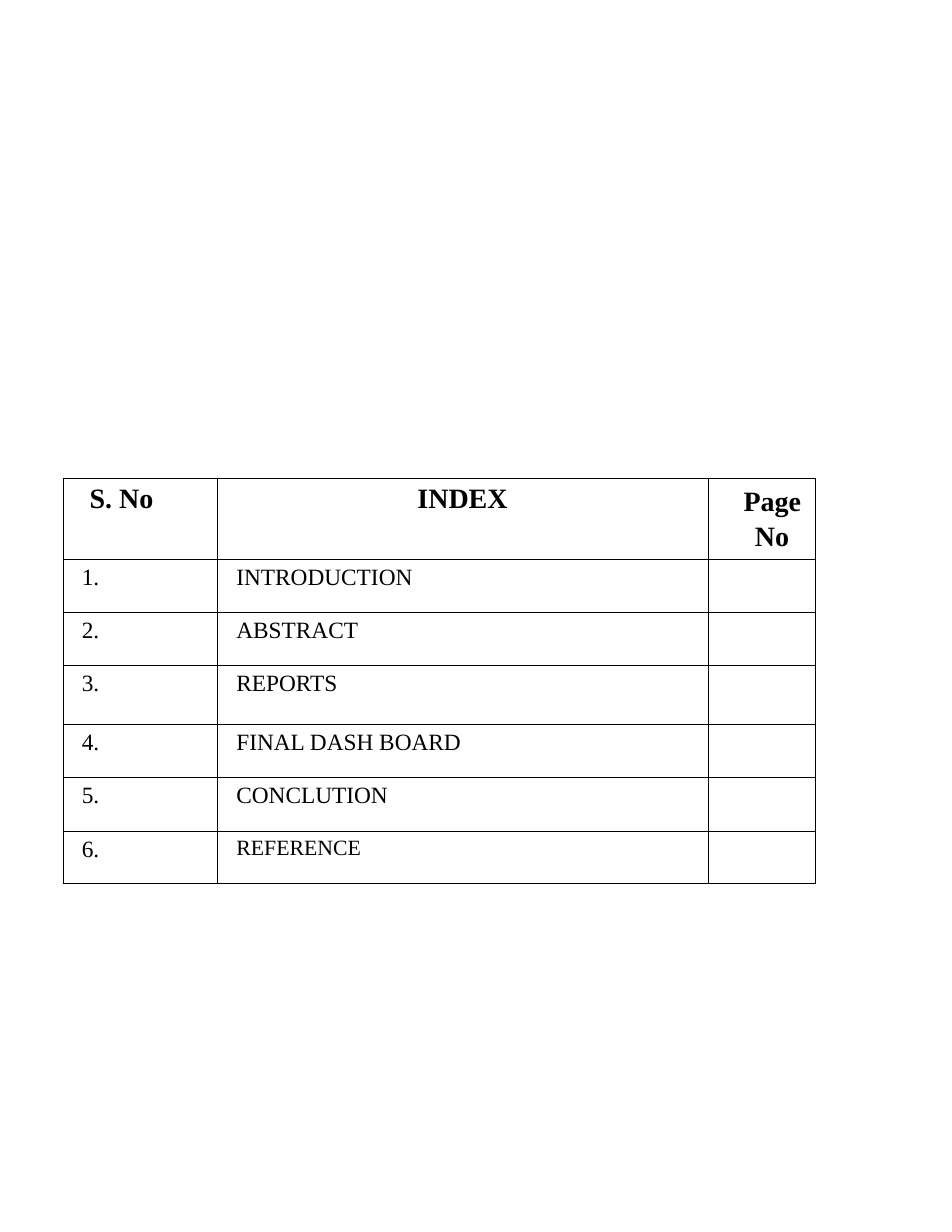
from lxml.etree import SubElement
from pptx import Presentation
from pptx.dml.color import RGBColor
from pptx.enum.text import PP_ALIGN
from pptx.oxml.ns import qn
from pptx.util import Inches, Pt

COLORS = {"ink": "000000"}
FONT = "Times New Roman"
COLUMN_WIDTHS = [1.38, 4.38, 0.96]
ROW_HEIGHTS = [0.72, 0.48, 0.47, 0.53, 0.47, 0.48, 0.47]
HEADINGS = ["S. No", "INDEX", "Page No"]
SECTIONS = ["INTRODUCTION", "ABSTRACT", "REPORTS",
            "FINAL DASH BOARD", "CONCLUTION", "REFERENCE"]


def add_borders(cell):
    properties = cell._tc.get_or_add_tcPr()
    for side in ("a:lnL", "a:lnR", "a:lnT", "a:lnB"):
        border = SubElement(properties, qn(side), w=str(Pt(0.28)))
        fill = SubElement(border, qn("a:solidFill"))
        SubElement(fill, qn("a:srgbClr"), val=COLORS["ink"])


def write_cell(cell, text, size, bold=False, margin=0, indent=0):
    paragraph = cell.text_frame.paragraphs[0]
    layout = paragraph._p.get_or_add_pPr()
    layout.set("marL", str(Inches(margin)))
    layout.set("indent", str(Inches(indent)))
    run = paragraph.add_run()
    run.text = text
    run.font.name = FONT
    run.font.size = Pt(size)
    run.font.bold = bold
    run.font.color.rgb = RGBColor.from_string(COLORS["ink"])
    return paragraph


prs = Presentation()
prs.slide_width, prs.slide_height = Inches(8.5), Inches(11)
slide = prs.slides.add_slide(prs.slide_layouts[6])

index = slide.shapes.add_table(
    len(ROW_HEIGHTS), len(COLUMN_WIDTHS), Inches(0.56), Inches(4.27),
    Inches(sum(COLUMN_WIDTHS)), Inches(sum(ROW_HEIGHTS))).table
index.first_row = False
index.horz_banding = False
for column, width in zip(index.columns, COLUMN_WIDTHS):
    column.width = Inches(width)
for row, height in zip(index.rows, ROW_HEIGHTS):
    row.height = Inches(height)
for cell in index.iter_cells():
    add_borders(cell)
    cell.fill.background()

# Heading row
number_heading, title_heading, page_heading = [
    write_cell(index.cell(0, col), heading, 18, True, margin, indent)
    for col, (heading, margin, indent) in enumerate(
        zip(HEADINGS, [0.14, 0, 0.32], [0, 0, -0.1]))]
title_heading.alignment = PP_ALIGN.CENTER
page_heading.line_spacing = 1.1

# Numbered sections, with the page column left open
for number, section in enumerate(SECTIONS, start=1):
    write_cell(index.cell(number, 0), f"{number}.", 15, margin=0.07)
    section_size = 14 if section == "REFERENCE" else 15
    write_cell(index.cell(number, 1), section, section_size, margin=0.07)

prs.save("out.pptx")
